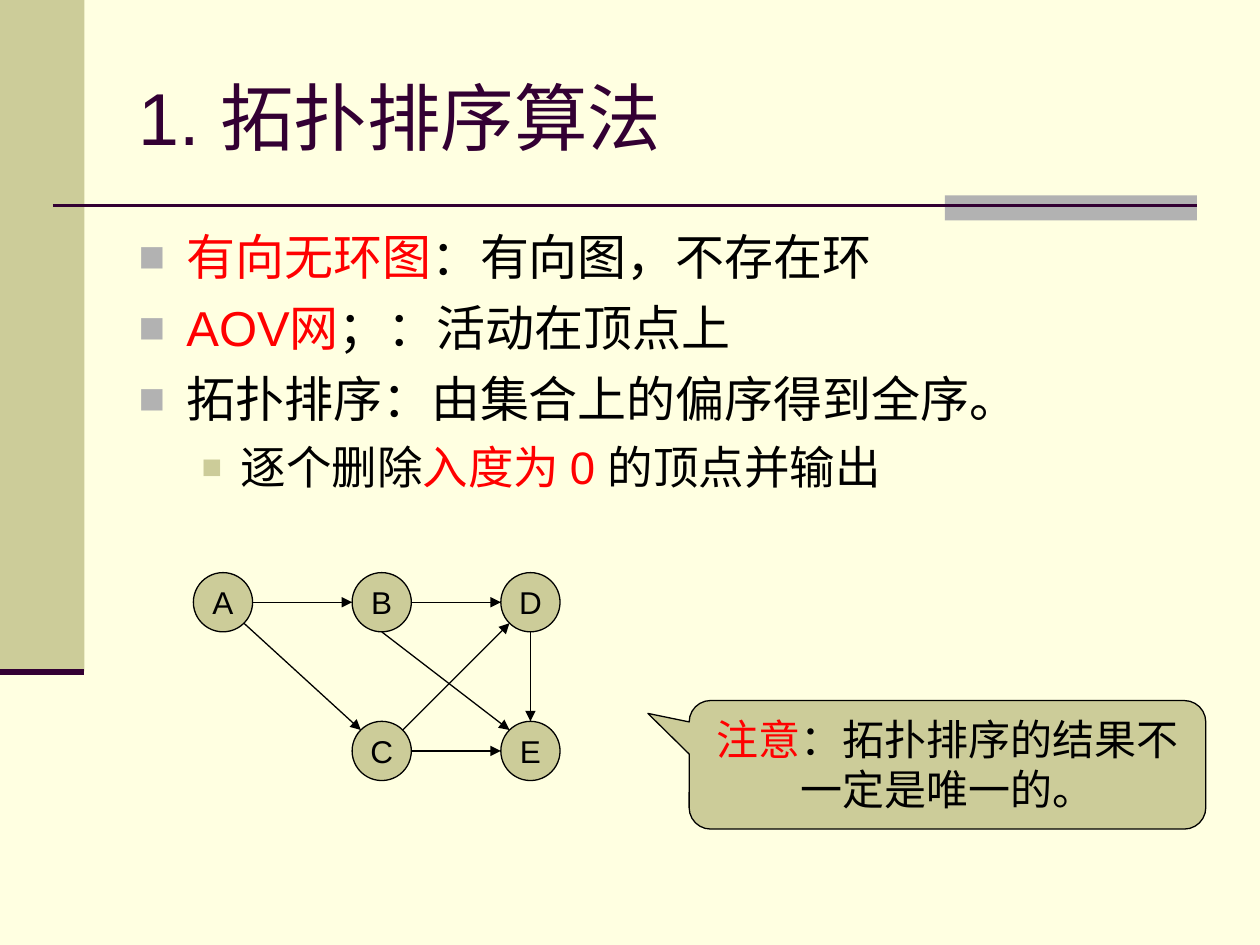
"""Build the slide on the topological sorting algorithm."""
import math
from collections import namedtuple
from lxml import etree
from pptx import Presentation
from pptx.dml.color import RGBColor
from pptx.enum import shapes, text
from pptx.oxml import ns
from pptx.util import Inches, Pt

Theme = namedtuple("Theme", "back sand gray plum red ink font head body sub note node")
theme = Theme(*map(RGBColor.from_string, "FFFFE1 CCCC99 B2B2B2 330033 FF0000 000000".split()),
              "Arial", 42, 28, 26, 24, 18)


def write(para, parts, size):
    for words, color in parts:
        run = para.add_run()
        run.text = words
        run.font.name = theme.font
        run.font.size = Pt(size)
        run.font.color.rgb = color


def draw(x1, y1, x2, y2, color, width):
    line = slide.shapes.add_connector(
        shapes.MSO_CONNECTOR.STRAIGHT, Inches(x1), Inches(y1), Inches(x2), Inches(y2))
    line.line.color.rgb = color
    line.line.width = Pt(width)
    etree.SubElement(line.element.spPr, ns.qn("a:effectLst"))
    return line


deck = Presentation()
deck.slide_width, deck.slide_height = Inches(10), Inches(7.5)
slide = deck.slides.add_slide(deck.slide_layouts[1])
slide.background.fill.solid()
slide.background.fill.fore_color.rgb = theme.back

bars = [(0, 0, 0.67, 5.33, theme.sand), (7.5, 1.55, 2, 0.2, theme.gray)]
for *box, color in bars:
    bar = slide.shapes.add_shape(shapes.MSO_SHAPE.RECTANGLE, *map(Inches, box))
    bar.shadow.inherit = False
    bar.fill.solid()
    bar.fill.fore_color.rgb = color
    bar.line.fill.background()
draw(0.42, 1.63, 9.5, 1.63, theme.plum, 1.5)
draw(0, 5.33, 0.67, 5.33, theme.plum, 3.5)

title, body = slide.placeholders
frames = [(title, 0.3, 1.25, text.MSO_ANCHOR.MIDDLE), (body, 1.75, 4.95, text.MSO_ANCHOR.TOP)]
for hold, top, high, anchor in frames:
    hold.left, hold.top = Inches(1), Inches(top)
    hold.width, hold.height = Inches(8.5), Inches(high)
    hold.text_frame.auto_size = text.MSO_AUTO_SIZE.NONE
    hold.text_frame.vertical_anchor = anchor
head = title.text_frame.paragraphs[0]
head.alignment = text.PP_ALIGN.LEFT
write(head, [("1. 拓扑排序算法", theme.plum)], theme.head)

levels = [(theme.body, 7, 0.38, 0.38, theme.gray, 90), (theme.sub, 6.5, 0.81, 0.31, theme.sand, 75)]
items = [
    (0, [("有向无环图", theme.red), ("：有向图，不存在环", theme.ink)]),
    (0, [("AOV网", theme.red), ("；：活动在顶点上", theme.ink)]),
    (0, [("拓扑排序：由集合上的偏序得到全序。", theme.ink)]),
    (1, [("逐个删除", theme.ink), ("入度为 0 ", theme.red), ("的顶点并输出", theme.ink)]),
]
for i, (level, parts) in enumerate(items):
    para = body.text_frame.paragraphs[0] if i == 0 else body.text_frame.add_paragraph()
    size, gap, left, hang, color, scale = levels[level]
    para.level = level
    para.space_before = Pt(gap)
    write(para, parts, size)
    props = para._p.get_or_add_pPr()
    props.set("marL", str(Inches(left)))
    props.set("indent", str(-Inches(hang)))
    tint = etree.SubElement(props, ns.qn("a:buClr"))
    etree.SubElement(tint, ns.qn("a:srgbClr"), val=str(color))
    etree.SubElement(props, ns.qn("a:buSzPct"), val=str(scale * 1000))
    etree.SubElement(props, ns.qn("a:buFont"), typeface=theme.font)
    etree.SubElement(props, ns.qn("a:buChar"), char="■")

size = 0.47
nodes = {"A": (1.77, 4.78), "B": (3.03, 4.78), "D": (4.21, 4.78), "C": (3.03, 5.96), "E": (4.21, 5.96)}
oval, call = shapes.MSO_SHAPE.OVAL, shapes.MSO_SHAPE.ROUNDED_RECTANGULAR_CALLOUT
forms = [(oval, (x - size / 2, y - size / 2, size, size), [(name, theme.ink)], theme.node)
         for name, (x, y) in nodes.items()]
forms.append((call, (5.47, 5.56, 4.1, 1.02),
              [("注意", theme.red), ("：拓扑排序的结果不一定是唯一的。", theme.ink)], theme.note))
for kind, box, parts, points in forms:
    form = slide.shapes.add_shape(kind, *map(Inches, box))
    form.shadow.inherit = False
    form.fill.solid()
    form.fill.fore_color.rgb = theme.sand
    form.line.color.rgb = theme.ink
    form.line.width = Pt(0.75)
    frame = form.text_frame
    frame.word_wrap = kind == call
    frame.vertical_anchor = text.MSO_ANCHOR.TOP if kind == call else text.MSO_ANCHOR.MIDDLE
    frame.paragraphs[0].alignment = text.PP_ALIGN.CENTER
    write(frame.paragraphs[0], parts, points)
form.adjustments[0], form.adjustments[1] = -0.58, -0.4

edges = [("AB", 0, 180), ("AC", 45, 225), ("BD", 0, 180), ("BE", 90, 225),
         ("DE", 90, 270), ("CE", 0, 180), ("CD", 315, 135)]
for pair, *turns in edges:
    ends = []
    for name, turn in zip(pair, turns):
        x, y = nodes[name]
        angle = math.radians(turn)
        ends += [x + size / 2 * math.cos(angle), y + size / 2 * math.sin(angle)]
    edge = draw(*ends, theme.ink, 0.75)
    etree.SubElement(edge.line._get_or_add_ln(), ns.qn("a:tailEnd"), type="triangle")

deck.save("out.pptx")
